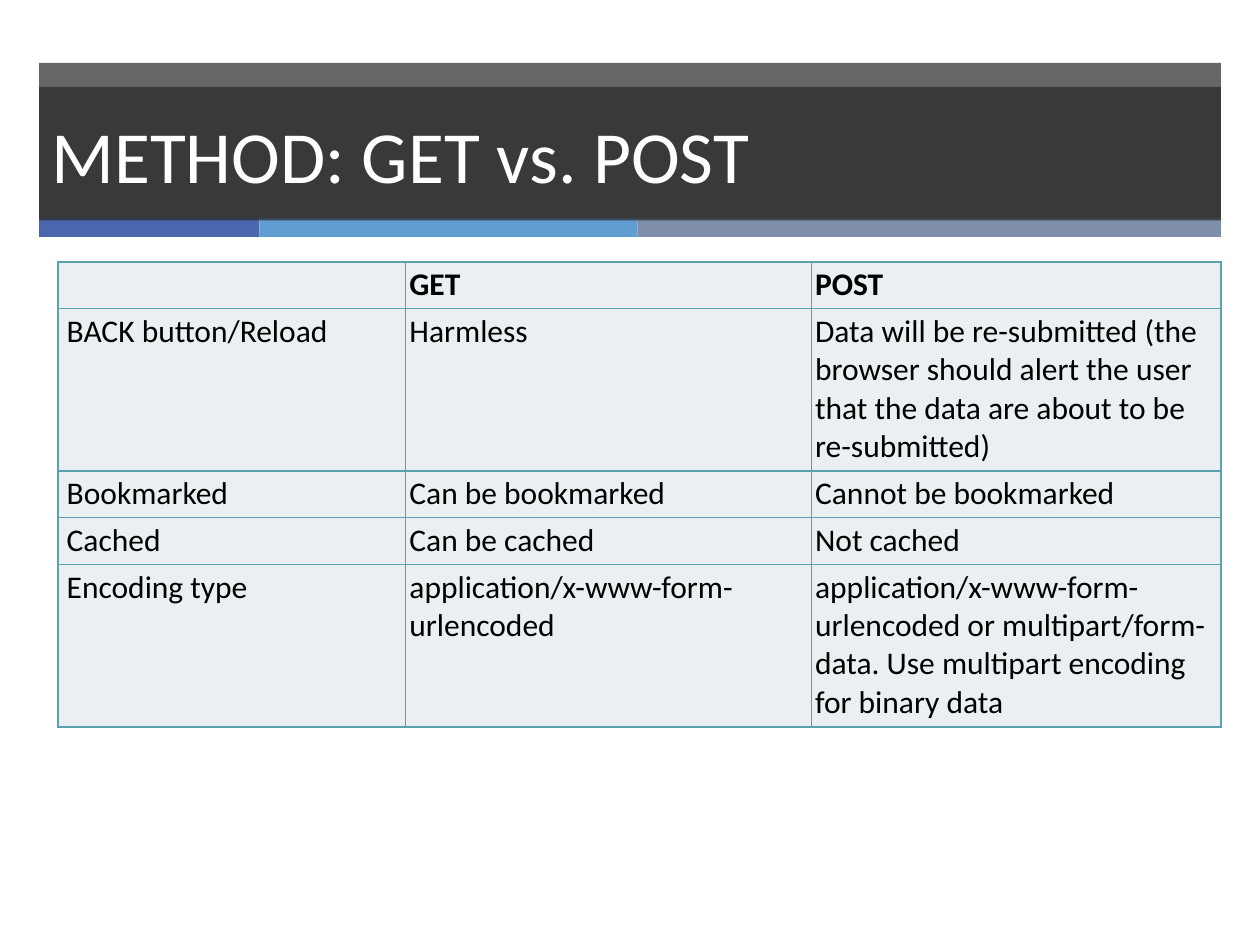
from lxml.etree import SubElement as Sub
from pptx import Presentation
from pptx.dml.color import RGBColor as RGB
from pptx.enum.shapes import MSO_SHAPE as Kind
from pptx.enum.text import MSO_ANCHOR as Anchor, PP_ALIGN as Align
from pptx.oxml.ns import qn
from pptx.util import Inches as In, Pt

DARK = RGB(0x26, 0x26, 0x26)
WHITE = RGB(0xFF, 0xFF, 0xFF)
BLACK = RGB(0, 0, 0)
BLUE = RGB(0x4A, 0x66, 0xAC)
SKY = RGB(0x62, 0x9D, 0xD1)
SLATE = RGB(0x7F, 0x8F, 0xA9)
PALE = RGB(0xEA, 0xF0, 0xF2)
TEAL = RGB(0x5A, 0xA2, 0xAE)

LEFT, WIDE = 0.31, 9.38
STRIPES = [(1.75, BLUE), (3, SKY), (4.63, SLATE)]
COLS = [2.76, 3.22, 3.25]
ROWS = [0.37, 1.29, 0.37, 0.37, 1.29]
CELLS = [
    ["", "GET", "POST"],
    ["BACK button/Reload", "Harmless",
     "Data will be re-submitted (the browser should alert the user "
     "that the data are about to be re-submitted)"],
    ["Bookmarked", "Can be bookmarked", "Cannot be bookmarked"],
    ["Cached", "Can be cached", "Not cached"],
    ["Encoding type", "application/x-www-form-urlencoded",
     "application/x-www-form-urlencoded or multipart/form-data. "
     "Use multipart encoding for binary data"],
]


def write(par, text, size, color, bold=False):
    """Add one styled run to a paragraph."""
    run = par.add_run()
    run.text = text
    font = run.font
    font.name, font.size, font.bold = "Calibri", Pt(size), bold
    font.color.rgb = color


def band(slide, x, y, w, h, color, alpha=100):
    """Draw a flat rectangle, see-through when alpha is below 100."""
    box = slide.shapes.add_shape(Kind.RECTANGLE, In(x), In(y), In(w), In(h))
    box.shadow.inherit = False
    box.line.fill.background()
    box.fill.solid()
    box.fill.fore_color.rgb = color
    if alpha < 100:
        tint = box.fill._xPr.find(".//" + qn("a:srgbClr"))
        Sub(tint, qn("a:alpha"), val=str(alpha * 1000))
    return box


def header(slide, text):
    """Draw the title bar with its colour stripes."""
    band(slide, LEFT, 0.5, WIDE, 1.24, DARK, 70)
    x = LEFT
    for w, color in STRIPES:
        band(slide, x, 1.73, w, 0.15, color)
        x += w
    frame = band(slide, LEFT, 0.69, WIDE, 1.06, DARK, 70).text_frame
    frame.word_wrap = True
    frame.vertical_anchor = Anchor.MIDDLE
    par = frame.paragraphs[0]
    par.alignment = Align.LEFT
    write(par, text, 42, WHITE)


def border(cell):
    """Line all four sides of a cell."""
    props = cell._tc.get_or_add_tcPr()
    for side in "LRTB":
        line = Sub(props, qn("a:ln" + side), w=str(Pt(1)))
        fill = Sub(line, qn("a:solidFill"))
        Sub(fill, qn("a:srgbClr"), val=str(TEAL))


def style(cell, text, first, head):
    """Fill, line and write one table cell."""
    border(cell)
    cell.fill.solid()
    cell.fill.fore_color.rgb = PALE
    cell.margin_left = In(0.07 if first else 0.03)
    cell.margin_right = cell.margin_top = cell.margin_bottom = In(0.03)
    if text:
        write(cell.text_frame.paragraphs[0], text, 18, BLACK, head)


def grid(slide, x, y):
    """Build the comparison table."""
    table = slide.shapes.add_table(len(ROWS), len(COLS), In(x), In(y),
                                   In(sum(COLS)), In(sum(ROWS))).table
    table.horz_banding = False
    for col, w in zip(table.columns, COLS):
        col.width = In(w)
    for r, (row, h) in enumerate(zip(table.rows, ROWS)):
        row.height = In(h)
        for c, cell in enumerate(row.cells):
            style(cell, CELLS[r][c], c == 0, r == 0)


def main():
    """Build and save the slide."""
    deck = Presentation()
    deck.slide_width, deck.slide_height = In(10), In(7.5)
    slide = deck.slides.add_slide(deck.slide_layouts[6])
    header(slide, "METHOD: GET vs. POST")
    grid(slide, 0.46, 2.08)
    deck.save("out.pptx")


if __name__ == "__main__":
    main()
